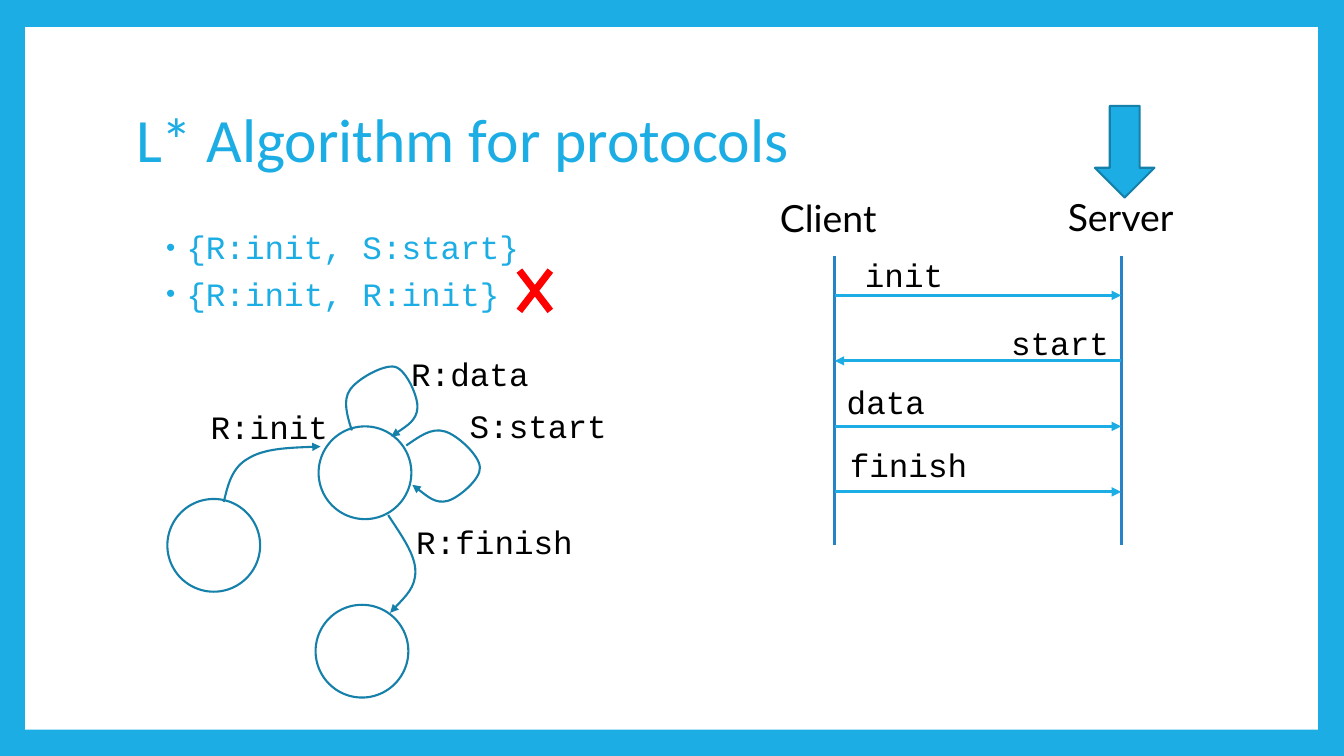
"""Build the slide on the L* algorithm for protocols."""
from dataclasses import dataclass

from lxml import etree
from pptx import Presentation
from pptx import util as u
from pptx.dml.color import RGBColor
from pptx.enum import shapes, text
from pptx.oxml import ns

COLORS = {"sky": "1CADE4", "edge": "1580A9", "lifeline": "2683C6",
          "cross": "FF0000", "paper": "FFFFFF", "ink": "000000"}
MONO = "Courier New"
CLIENT_X, SERVER_X = 8.28, 11.12
FIRST_MESSAGE_Y, MESSAGE_GAP = 2.93, 0.65
STATE_SIZE = 0.92


@dataclass(frozen=True)
class Label:
    """A line of text and its box."""
    wording: str
    left: float
    top: float
    width: float
    height: float = 0.44


@dataclass(frozen=True)
class Message:
    """A protocol message, its sender and receiver, and its label's place."""
    wording: str
    start: float
    end: float
    label_left: float
    label_top: float


STATES = [(1.66, 4.95), (3.16, 4.23), (3.13, 6)]
TRANSITIONS = [
    [(2.22, 4.98), (2.26, 4.81), (2.3, 4.64), (2.46, 4.55),
     (2.62, 4.45), (2.9, 4.44), (3.18, 4.43)],
    [(3.49, 4.27), (3.44, 4.12), (3.4, 3.97), (3.47, 3.87),
     (3.54, 3.76), (3.81, 3.61), (3.92, 3.64),
     (4.03, 3.67), (4.15, 3.94), (4.14, 4.05),
     (4.13, 4.17), (4, 4.25), (3.88, 4.33)],
    [(3.85, 5.11), (3.98, 5.31), (4.12, 5.5), (4.12, 5.67),
     (4.12, 5.83), (3.99, 5.95), (3.87, 6.08)],
    [(4.03, 4.42), (4.16, 4.33), (4.28, 4.24), (4.41, 4.28),
     (4.53, 4.31), (4.76, 4.52), (4.76, 4.64),
     (4.77, 4.75), (4.55, 4.94), (4.44, 4.97),
     (4.32, 5), (4.21, 4.9), (4.09, 4.81)],
]
TRANSITION_LABELS = [
    Label("R:init", 1.99, 3.99, 1.39),
    Label("S:start", 4.56, 3.98, 1.82),
    Label("R:finish", 4.03, 5.13, 2.05),
    Label("R:data", 3.98, 3.46, 1.63),
]
MESSAGES = [
    Message("init", CLIENT_X, SERVER_X, 8.48, 2.48),
    Message("start", SERVER_X, CLIENT_X, 9.93, 3.15),
    Message("data", CLIENT_X, SERVER_X, 8.3, 3.74),
    Message("finish", CLIENT_X, SERVER_X, 8.33, 4.36),
]
ROLES = [Label("Client", 7.49, 1.89, 1.45, 0.54),
         Label("Server", 10.39, 1.88, 1.45, 0.54)]


def rgb(name: str) -> RGBColor:
    """Look up a named colour."""
    return RGBColor.from_string(COLORS[name])


def add_child(parent, tag: str, **attributes: str):
    """Append a drawing element with its attributes."""
    return etree.SubElement(parent, ns.qn(tag), attributes)


def write(frame, wording: str, *, size: float = 23.3, font: str = MONO,
          color: str = "ink", align=text.PP_ALIGN.LEFT,
          anchor=text.MSO_ANCHOR.TOP, spacing: float = 1,
          bullet: bool = False) -> None:
    """Fill a text frame, one paragraph for each line of the wording."""
    frame.word_wrap = True
    frame.auto_size = text.MSO_AUTO_SIZE.NONE
    frame.vertical_anchor = anchor
    for index, line in enumerate(wording.split("\n")):
        paragraph = frame.paragraphs[0] if index == 0 else frame.add_paragraph()
        if bullet:
            props = paragraph._p.get_or_add_pPr()
            props.set("marL", str(u.Inches(0.5)))
            props.set("indent", str(u.Inches(-0.2)))
            add_child(add_child(props, "a:buClr"), "a:srgbClr", val=COLORS[color])
            add_child(props, "a:buSzPct", val="80000")
            add_child(props, "a:buFont", typeface="Arial")
            add_child(props, "a:buChar", char="•")
            paragraph.space_before = u.Pt(4 if index else 0)
            paragraph.space_after = u.Pt(4)
        paragraph.alignment = align
        paragraph.line_spacing = spacing
        run = paragraph.add_run()
        run.text = line
        run.font.size = u.Pt(size)
        run.font.name = font
        run.font.color.rgb = rgb(color)


def add_label(slide, label: Label, margin: float = 0.1, **style) -> None:
    """Add a text box holding a label."""
    box = slide.shapes.add_textbox(*map(
        u.Inches, (label.left, label.top, label.width, label.height)))
    box.text_frame.margin_left = box.text_frame.margin_right = u.Inches(margin)
    write(box.text_frame, label.wording, **style)


def paint(shape, fill: str | None = None, line: str | None = None) -> None:
    """Set the fill and outline of a shape and drop its shadow."""
    shape.shadow.inherit = False
    if fill:
        shape.fill.solid()
        shape.fill.fore_color.rgb = rgb(fill)
    else:
        shape.fill.background()
    if line:
        shape.line.color.rgb = rgb(line)
        shape.line.width = u.Pt(1.5)
    else:
        shape.line.fill.background()


def add_preset(slide, kind, left: float, top: float, width: float,
               height: float, **colors):
    """Add a painted preset shape."""
    shape = slide.shapes.add_shape(
        kind, *map(u.Inches, (left, top, width, height)))
    paint(shape, **colors)
    return shape


def add_arrowhead(shape) -> None:
    """Put a triangle at the end of a line."""
    add_child(shape.element.spPr.find(ns.qn("a:ln")), "a:tailEnd", type="triangle")


def add_transition(slide, points: list[tuple[float, float]]) -> None:
    """Add a curved arrow through cubic Bezier points."""
    start, *rest = [(u.Inches(x), u.Inches(y)) for x, y in points]
    builder = slide.shapes.build_freeform(*start)
    builder.add_line_segments(rest, close=False)
    curve = builder.convert_to_shape()
    paint(curve, line="edge")
    add_arrowhead(curve)
    outline = next(curve.element.iter(ns.qn("a:path")))
    segments = outline.findall(ns.qn("a:lnTo"))
    for first in range(0, len(segments), 3):
        bezier = add_child(outline, "a:cubicBezTo")
        for segment in segments[first:first + 3]:
            bezier.append(segment[0])
            outline.remove(segment)


def add_line(slide, start: tuple[float, float], end: tuple[float, float],
             color: str, arrow: bool = False) -> None:
    """Add a straight line, with an arrowhead if asked."""
    line = slide.shapes.add_connector(
        shapes.MSO_CONNECTOR.STRAIGHT, *map(u.Inches, (*start, *end)))
    line.line.color.rgb = rgb(color)
    line.line.width = u.Pt(2.25)
    if arrow:
        add_arrowhead(line)
    add_child(line.element.spPr, "a:effectLst")


def main() -> None:
    """Draw the slide and save it."""
    deck = Presentation()
    deck.slide_width, deck.slide_height = u.Inches(13.33), u.Inches(7.5)
    slide = deck.slides.add_slide(deck.slide_layouts[5])
    slide.background.fill.solid()
    slide.background.fill.fore_color.rgb = rgb("sky")
    preset = shapes.MSO_SHAPE

    heading = slide.shapes.title
    panel = add_preset(slide, preset.RECTANGLE, 0.25, 0.27, 12.82, 6.97, fill="paper")
    heading.element.addprevious(panel.element)
    heading.left, heading.top, heading.width, heading.height = map(
        u.Inches, (1.25, 0.67, 10.8, 1.48))
    write(heading.text_frame, "L* Algorithm for protocols", size=44, font="Calibri",
          color="sky", anchor=text.MSO_ANCHOR.MIDDLE, spacing=0.9)
    add_label(slide, Label("{R:init, S:start}\n{R:init, R:init}", 1.25, 2.25, 10.8, 4.42),
              color="sky", spacing=0.9, bullet=True)
    cross = add_preset(slide, preset.MATH_MULTIPLY, 5.01, 2.5, 0.59, 0.77, fill="cross")
    cross.adjustments[0] = 0.119

    for left, top in STATES:
        add_preset(slide, preset.OVAL, left, top, STATE_SIZE, STATE_SIZE, line="edge")
    for points in TRANSITIONS:
        add_transition(slide, points)
    for label in TRANSITION_LABELS:
        add_label(slide, label)

    for x in (CLIENT_X, SERVER_X):
        add_line(slide, (x, 2.54), (x, 5.41), "lifeline")
    for index, message in enumerate(MESSAGES):
        y = FIRST_MESSAGE_Y + index * MESSAGE_GAP
        add_line(slide, (message.start, y), (message.end, y), "sky", arrow=True)
        add_label(slide, Label(message.wording, message.label_left,
                               message.label_top, 1.6, 0.49))
    for role in ROLES:
        add_label(slide, role, margin=0.05, size=26.7, font="Lato",
                  align=text.PP_ALIGN.CENTER, anchor=text.MSO_ANCHOR.MIDDLE)
    add_preset(slide, preset.DOWN_ARROW, 10.86, 1.05, 0.59, 0.91, fill="sky", line="edge")
    deck.save("out.pptx")


if __name__ == "__main__":
    main()
